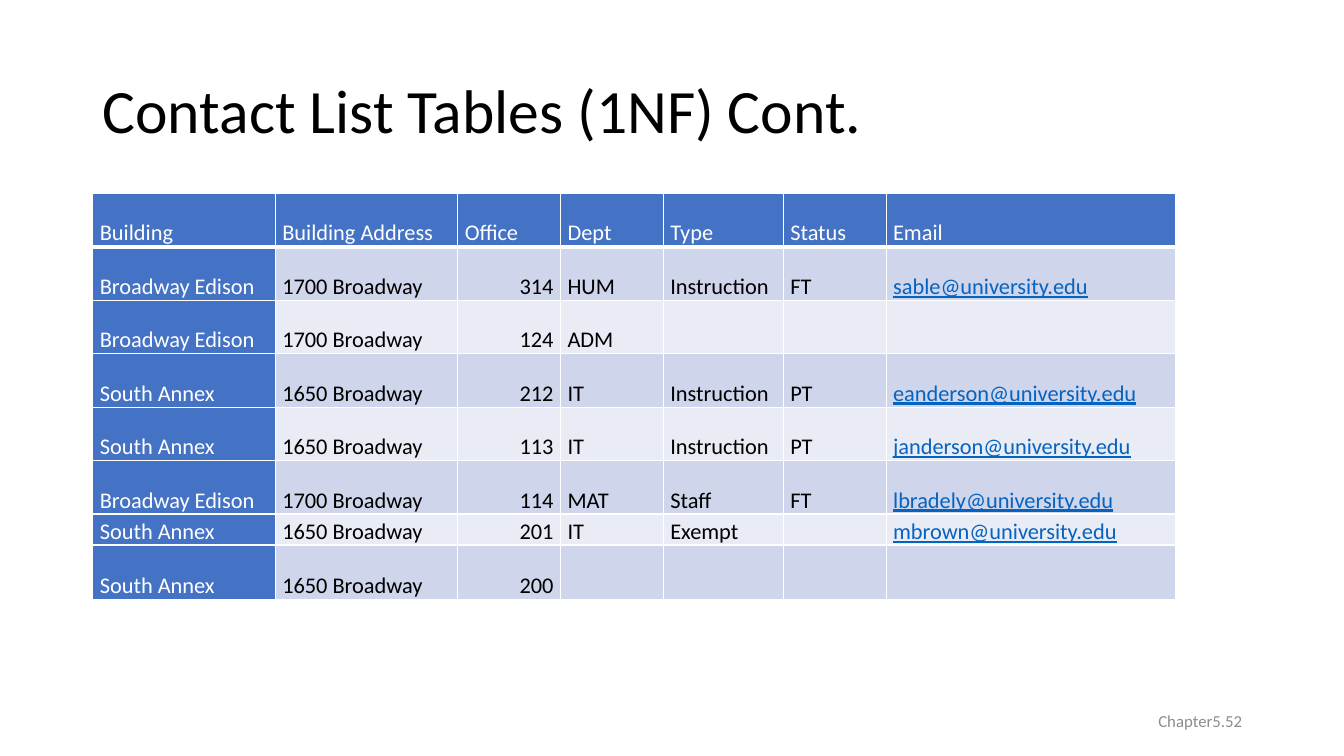
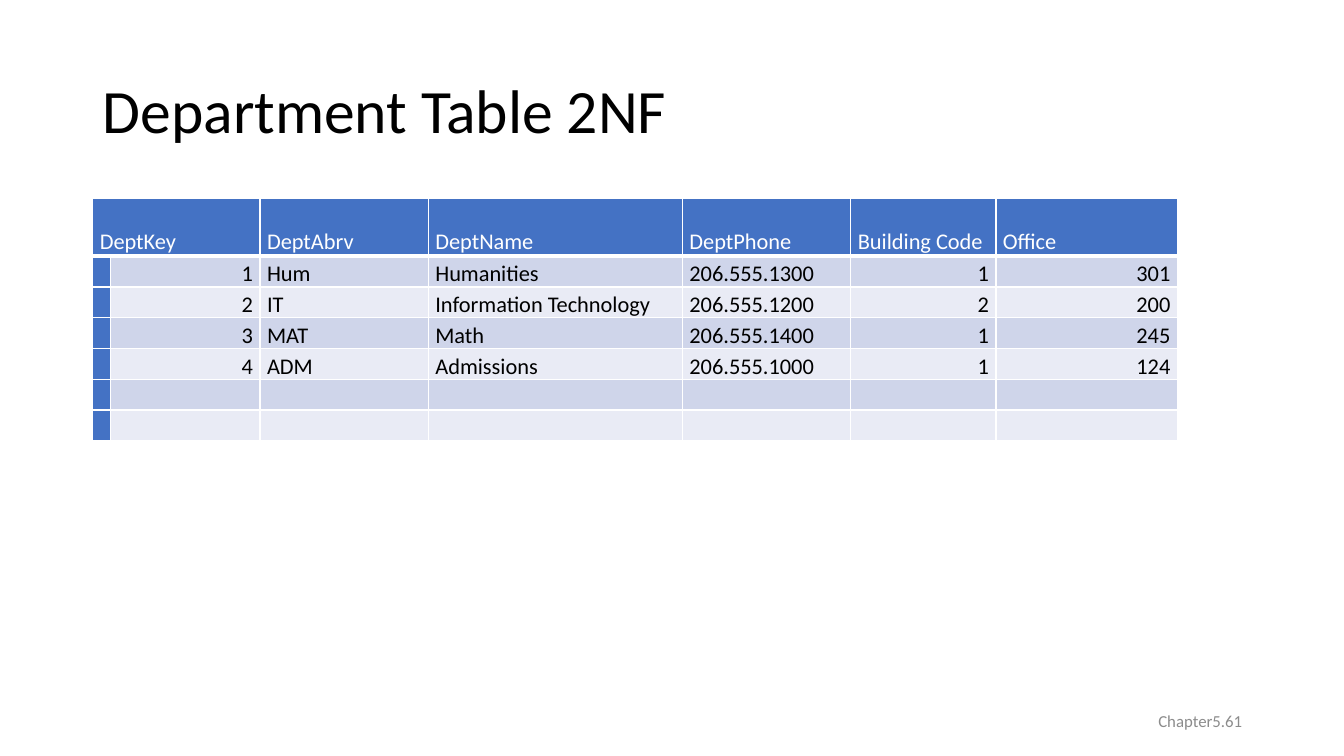
from dataclasses import dataclass

from lxml import etree
from pptx import Presentation
from pptx import util as u
from pptx.dml.color import RGBColor
from pptx.enum import text
from pptx.oxml import ns


@dataclass(frozen=True)
class Theme:
    font: str = "Calibri"
    ink: str = "000000"
    white: str = "FFFFFF"
    accent: str = "4472C4"
    bands: tuple = ("CFD5EA", "E9EBF5")
    link: str = "0563C1"
    muted: str = "8C8C8C"
    title_size: int = 44
    table_size: int = 16
    footer_size: int = 12
    border: float = 1
    header_rule: float = 3


THEME = Theme()
LEFT = 0.92

CONTACTS = [
    ["Building", "Building Address", "Office", "Dept", "Type", "Status", "Email"],
    ["Broadway Edison", "1700 Broadway", "314", "HUM", "Instruction", "FT", "sable@university.edu"],
    ["Broadway Edison", "1700 Broadway", "124", "ADM", "", "", ""],
    ["South Annex", "1650 Broadway", "212", "IT", "Instruction", "PT", "eanderson@university.edu"],
    ["South Annex", "1650 Broadway", "113", "IT", "Instruction", "PT", "janderson@university.edu"],
    ["Broadway Edison", "1700 Broadway", "114", "MAT", "Staff", "FT", "lbradely@university.edu"],
    ["South Annex", "1650 Broadway", "201", "IT", "Exempt", "", "mbrown@university.edu"],
    ["South Annex", "1650 Broadway", "200", "", "", "", ""],
]

DEPARTMENTS = [
    ["DeptKey", "", "DeptAbrv", "DeptName", "DeptPhone", "Building Code", "Office"],
    ["", "1", "Hum", "Humanities", "206.555.1300", "1", "301"],
    ["", "2", "IT", "Information Technology", "206.555.1200", "2", "200"],
    ["", "3", "MAT", "Math", "206.555.1400", "1", "245"],
    ["", "4", "ADM", "Admissions", "206.555.1000", "1", "124"],
    [""] * 7,
    [""] * 7,
]


def apply_format(target, values):
    for name, value in values.items():
        setattr(target, name, value)


def write(para, words, size, color, underline=False, **layout):
    """Fill a paragraph with one formatted run."""
    apply_format(para, layout)
    span = para.add_run()
    span.text = words
    apply_format(span.font, {"name": THEME.font, "size": u.Pt(size),
                             "bold": False, "underline": underline})
    span.font.color.rgb = RGBColor.from_string(color)


def add_label(page, place, words, size, color, **layout):
    box = page.shapes.add_textbox(*map(u.Inches, place))
    apply_format(box.text_frame, {"word_wrap": True,
                                  "vertical_anchor": text.MSO_ANCHOR.MIDDLE})
    write(box.text_frame.paragraphs[0], words, size, color, **layout)


def add_borders(cell, bottom):
    properties = cell._tc.get_or_add_tcPr()
    widths = {"lnL": THEME.border, "lnR": THEME.border, "lnT": THEME.border, "lnB": bottom}
    for side, width in widths.items():
        line = etree.SubElement(properties, ns.qn(f"a:{side}"), w=str(u.Pt(width)))
        fill = etree.SubElement(line, ns.qn("a:solidFill"))
        etree.SubElement(fill, ns.qn("a:srgbClr"), val=THEME.white)


def style_cell(cell, words, row, column):
    """Colour a cell by its place and align it by its content."""
    is_header = row == 0
    is_heading = is_header or column == 0
    apply_format(cell, {"margin_left": u.Inches(0.07), "margin_right": u.Inches(0.07),
                        "margin_top": 0, "margin_bottom": 0,
                        "vertical_anchor": text.MSO_ANCHOR.BOTTOM})
    add_borders(cell, THEME.header_rule if is_header else THEME.border)
    cell.fill.solid()
    fill = THEME.accent if is_heading else THEME.bands[(row - 1) % 2]
    cell.fill.fore_color.rgb = RGBColor.from_string(fill)
    if not words:
        return
    is_link = "@" in words
    color = THEME.white if is_heading else THEME.link if is_link else THEME.ink
    align = text.PP_ALIGN.RIGHT if words.isdigit() else text.PP_ALIGN.LEFT
    write(cell.text_frame.paragraphs[0], words, THEME.table_size, color,
          underline=is_link, alignment=align, line_spacing=1.15)


def add_data_table(page, top, rows, widths, heights):
    frame = page.shapes.add_table(len(rows), len(widths), u.Inches(LEFT), u.Inches(top),
                                  u.Inches(sum(widths)), u.Inches(sum(heights)))
    table = frame.table
    for column, width in zip(table.columns, widths):
        column.width = u.Inches(width)
    for row, height in zip(table.rows, heights):
        row.height = u.Inches(height)
    for row, values in enumerate(rows):
        for column, words in enumerate(values):
            style_cell(table.cell(row, column), words, row, column)
    return table


def add_page(deck, title, number):
    """Start a slide with the shared title and footer."""
    page = deck.slides.add_slide(deck.slide_layouts[6])
    add_label(page, (LEFT, 0.4, 11.5, 1.45), title, THEME.title_size, THEME.ink,
              line_spacing=0.9)
    add_label(page, (9.42, 6.95, 3, 0.4), f"Chapter5.{number}", THEME.footer_size,
              THEME.muted, alignment=text.PP_ALIGN.RIGHT)
    return page


def main():
    deck = Presentation()
    apply_format(deck, {"slide_width": u.Inches(13.33), "slide_height": u.Inches(7.5)})

    # Contact list
    page = add_page(deck, "Contact List Tables (1NF) Cont.", 52)
    add_data_table(page, 1.92, CONTACTS, [1.81, 1.81, 1.02, 1.02, 1.19, 1.02, 2.87],
                   [0.53] * 6 + [0.27, 0.54])

    # Departments, with the key heading across two columns
    page = add_page(deck, "Department Table 2NF", 61)
    table = add_data_table(page, 1.97, DEPARTMENTS, [0.17, 1.48, 1.67, 2.52, 1.67, 1.44, 1.8],
                           [0.57] + [0.29] * 4 + [0.3] * 2)
    table.cell(0, 0).merge(table.cell(0, 1))

    deck.save("out.pptx")


if __name__ == "__main__":
    main()
